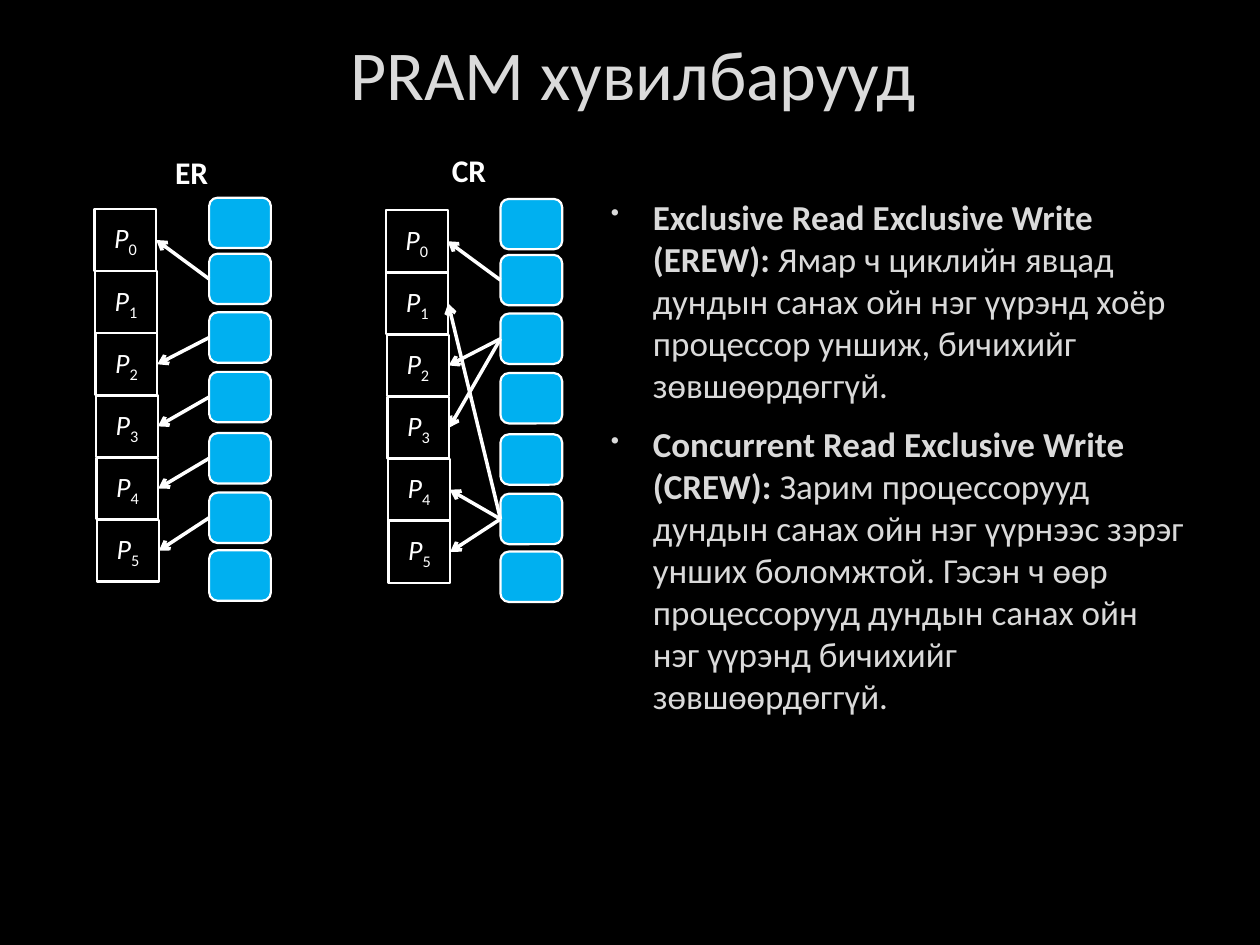
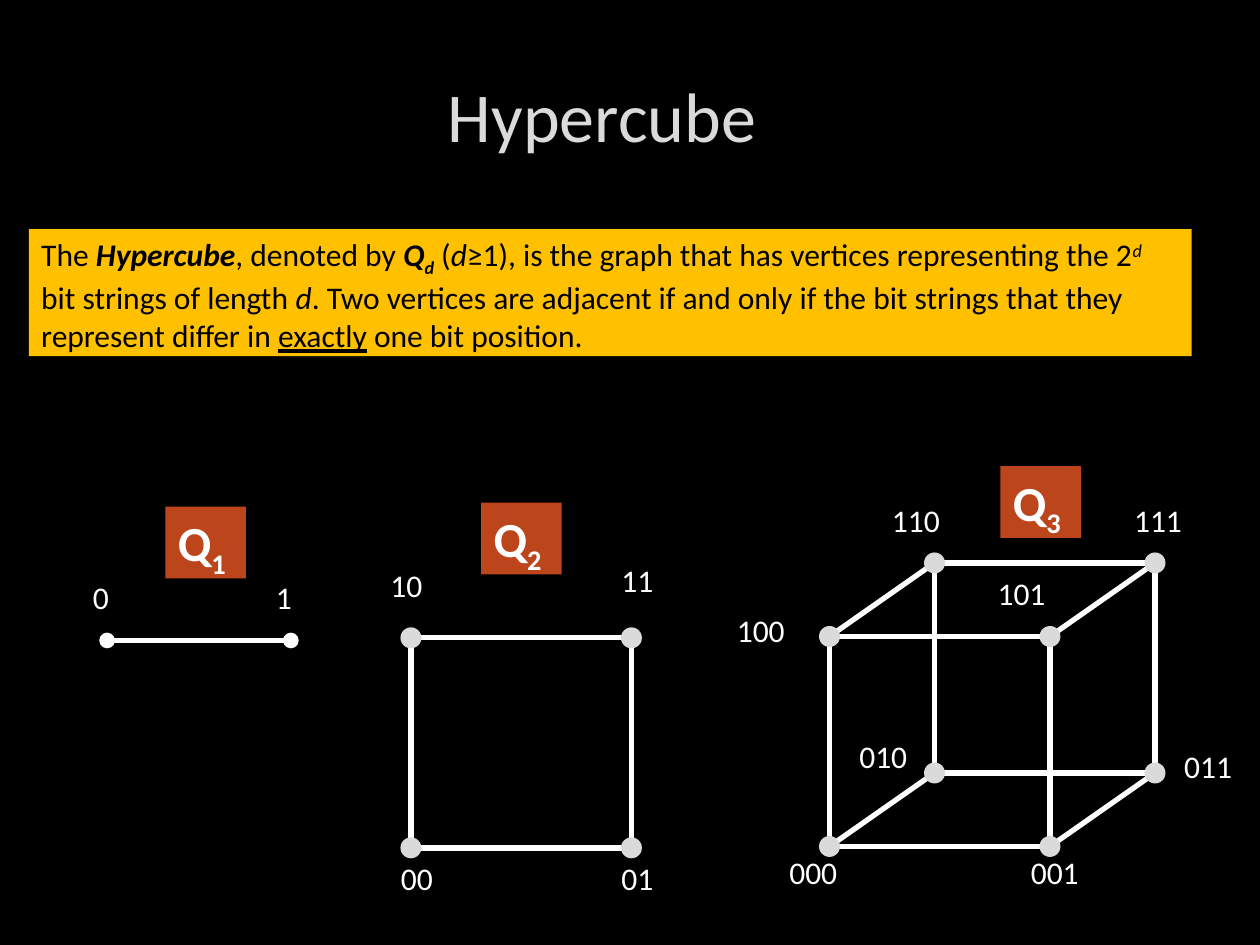
from dataclasses import dataclass
from itertools import combinations, product
from typing import NamedTuple

from lxml.etree import SubElement
from pptx import Presentation
from pptx.dml.color import RGBColor
from pptx.enum.shapes import MSO_CONNECTOR, MSO_SHAPE
from pptx.enum.text import MSO_ANCHOR, PP_ALIGN
from pptx.oxml.ns import qn
from pptx.shapes.autoshape import Shape
from pptx.shapes.connector import Connector
from pptx.slide import Slide
from pptx.text.text import _Paragraph as Paragraph
from pptx.util import Pt


# Theme
@dataclass(frozen=True)
class Theme:
    font: str = "Calibri"
    background: str = "000000"
    white: str = "FFFFFF"
    pale: str = "DADADA"
    black: str = "000000"
    memory: str = "00B0F0"
    callout: str = "FFC000"
    badge: str = "BC451B"
    title_size: float = 40
    badge_size: float = 28
    body_size: float = 20
    label_size: float = 18
    processor_size: float = 16
    box_line: float = 1.25
    arrow_line: float = 2
    edge_line: float = 3


THEME = Theme()
RIGHT_SITE, LEFT_SITE = 3, 1


class Box(NamedTuple):
    left: float
    top: float
    width: float
    height: float


class Span(NamedTuple):
    text: str
    bold: bool = False
    italic: bool = False
    underline: bool = False
    baseline: int = 0


class MemoryModel(NamedTuple):
    name: str
    name_left: float
    name_top: float
    left: float
    top: float
    reads: list[tuple[int, int]]  # processor, memory cell


class Hypercube(NamedTuple):
    badge_left: float
    badge_top: float
    origin: tuple[float, float]
    axes: list[tuple[float, float]]  # step for each bit, last bit first
    label_width: float
    labels: dict[str, tuple[float, float]]


# Shared drawing functions
def color(value: str) -> RGBColor:
    return RGBColor.from_string(value)


def write_spans(paragraph: Paragraph, spans: list[Span], size: float, ink: str,
                align: PP_ALIGN = PP_ALIGN.LEFT) -> None:
    paragraph.alignment = align
    for span in spans:
        run = paragraph.add_run()
        run.text = span.text
        font = run.font
        font.name, font.size = THEME.font, Pt(size)
        font.bold, font.italic, font.underline = span.bold, span.italic, span.underline
        font.color.rgb = color(ink)
        if span.baseline:
            run._r.get_or_add_rPr().set("baseline", str(span.baseline * 1000))


def add_text(slide: Slide, box: Box, spans: list[Span], size: float, ink: str,
             align: PP_ALIGN = PP_ALIGN.LEFT, anchor: MSO_ANCHOR = MSO_ANCHOR.TOP) -> None:
    frame = slide.shapes.add_textbox(*map(Pt, box)).text_frame
    frame.word_wrap = True
    frame.vertical_anchor = anchor
    write_spans(frame.paragraphs[0], spans, size, ink, align)


def add_box(slide: Slide, kind: MSO_SHAPE, box: Box, fill: str | None = None,
            line: str | None = None) -> Shape:
    shape = slide.shapes.add_shape(kind, *map(Pt, box))
    shape.shadow.inherit = False
    if fill:
        shape.fill.solid()
        shape.fill.fore_color.rgb = color(fill)
    else:
        shape.fill.background()
    if line:
        shape.line.color.rgb = color(line)
        shape.line.width = Pt(THEME.box_line)
    else:
        shape.line.fill.background()
    return shape


def add_filled_text(slide: Slide, box: Box, fill: str, spans: list[Span],
                    size: float, ink: str) -> None:
    frame = add_box(slide, MSO_SHAPE.RECTANGLE, box, fill).text_frame
    frame.vertical_anchor = MSO_ANCHOR.TOP
    write_spans(frame.paragraphs[0], spans, size, ink)


def add_line(slide: Slide, start: tuple[float, float], end: tuple[float, float],
             width: float, head: str = "", tail: str = "") -> Connector:
    connector = slide.shapes.add_connector(MSO_CONNECTOR.STRAIGHT, *map(Pt, (*start, *end)))
    connector.line.color.rgb = color(THEME.white)
    connector.line.width = Pt(width)
    line = connector.line._get_or_add_ln()
    for tag, ending in (("a:headEnd", head), ("a:tailEnd", tail)):
        if ending:
            SubElement(line, qn(tag)).set("type", ending)
    SubElement(connector._element.spPr, qn("a:effectLst"))
    return connector


def add_titled_slide(presentation: Presentation, title: str, box: Box) -> Slide:
    slide = presentation.slides.add_slide(presentation.slide_layouts[6])
    slide.background.fill.solid()
    slide.background.fill.fore_color.rgb = color(THEME.background)
    add_text(slide, box, [Span(title)], THEME.title_size, THEME.pale,
             PP_ALIGN.CENTER, MSO_ANCHOR.MIDDLE)
    return slide


# PRAM slide
PROCESSOR_COUNT = 6
PROCESSOR_SIDE, PROCESSOR_STEP, PROCESSOR_DRIFT = 35.3, 35.5, 0.3
CELL_OFFSET_X, CELL_HEIGHT = 65.5, 28.8
CELL_OFFSETS_Y = [-6.5, 25.5, 59, 93, 128, 162, 195]
MEMORY_MODELS = [
    MemoryModel("ER", 67, 84, 54, 119.5, [(0, 1), (2, 2), (3, 3), (4, 4), (5, 5)]),
    MemoryModel("CR", 225.5, 83, 220.5, 120.2,
                [(0, 1), (1, 5), (2, 2), (3, 2), (4, 5), (5, 5)]),
]
VARIANTS = [
    ("Exclusive Read Exclusive Write (EREW): ",
     "Ямар ч циклийн явцад дундын санах ойн нэг үүрэнд хоёр процессор уншиж, "
     "бичихийг зөвшөөрдөггүй."),
    ("Concurrent Read Exclusive Write (CREW): ",
     "Зарим процессорууд дундын санах ойн нэг үүрнээс зэрэг унших боломжтой. "
     "Гэсэн ч өөр процессорууд дундын санах ойн нэг үүрэнд бичихийг зөвшөөрдөггүй."),
]


def add_bullet(paragraph: Paragraph) -> None:
    paragraph.space_before, paragraph.space_after = Pt(4), Pt(6)
    properties = paragraph._p.get_or_add_pPr()
    properties.set("marL", str(Pt(27)))
    properties.set("indent", str(-Pt(24)))
    bullet_color = SubElement(properties, qn("a:buClr"))
    SubElement(bullet_color, qn("a:srgbClr")).set("val", THEME.pale)
    SubElement(properties, qn("a:buSzPct")).set("val", "70000")
    SubElement(properties, qn("a:buChar")).set("char", "•")


def draw_memory_model(slide: Slide, model: MemoryModel) -> None:
    add_text(slide, Box(model.name_left, model.name_top, 85, 29),
             [Span(model.name, bold=True)], THEME.label_size, THEME.white, PP_ALIGN.CENTER)
    processors = []
    for index in range(PROCESSOR_COUNT):
        processor = add_box(
            slide, MSO_SHAPE.RECTANGLE,
            Box(model.left + index * PROCESSOR_DRIFT, model.top + index * PROCESSOR_STEP,
                PROCESSOR_SIDE, PROCESSOR_SIDE), line=THEME.white)
        write_spans(processor.text_frame.paragraphs[0],
                    [Span("P", italic=True), Span(str(index), baseline=-25)],
                    THEME.processor_size, THEME.white, PP_ALIGN.CENTER)
        processors.append(processor)
    cells = [add_box(slide, MSO_SHAPE.ROUNDED_RECTANGLE,
                     Box(model.left + CELL_OFFSET_X, model.top + offset,
                         PROCESSOR_SIDE, CELL_HEIGHT), THEME.memory, THEME.white)
             for offset in CELL_OFFSETS_Y]
    for processor, cell in model.reads:
        arrow = add_line(slide, (0, 0), (0, 0), THEME.arrow_line, head="arrow")
        arrow.begin_connect(processors[processor], RIGHT_SITE)
        arrow.end_connect(cells[cell], LEFT_SITE)


def build_pram_slide(presentation: Presentation) -> None:
    slide = add_titled_slide(presentation, "PRAM хувилбарууд", Box(11.5, 0, 700.5, 83))
    body = slide.shapes.add_textbox(*map(Pt, Box(339, 108, 345.6, 325.5))).text_frame
    body.word_wrap = True
    for index, (name, meaning) in enumerate(VARIANTS):
        paragraph = body.add_paragraph() if index else body.paragraphs[0]
        write_spans(paragraph, [Span(name, bold=True), Span(meaning)],
                    THEME.body_size, THEME.pale)
        add_bullet(paragraph)
    for model in MEMORY_MODELS:
        draw_memory_model(slide, model)


# Hypercube slide
VERTEX_DIAMETER = 12
DEFINITION = [
    Span("The "), Span("Hypercube", bold=True, italic=True), Span(", denoted by "),
    Span("Q", bold=True, italic=True), Span("d", bold=True, italic=True, baseline=-25),
    Span(" ("), Span("d", italic=True),
    Span("≥1), is the graph that has vertices representing the 2"),
    Span("d", italic=True, baseline=30), Span(" bit strings of length "),
    Span("d", italic=True),
    Span(". Two vertices are adjacent if and only if the bit strings that they "
         "represent differ in "),
    Span("exactly", underline=True), Span(" one bit position."),
]
ACROSS, BACK, UP = (126, 0), (60, -42), (0, -120)
HYPERCUBES = [
    Hypercube(94.5, 289.5, (61.2, 366), [(105, 0)], 27,
              {"0": (46, 327), "1": (150.5, 327)}),
    Hypercube(275, 287.3, (234.8, 484.5), [ACROSS, UP], 38,
              {"00": (222, 487.5), "01": (348, 487.5),
               "10": (216, 319.7), "11": (348, 316.8)}),
    Hypercube(571.7, 266.4, (474, 483.7), [ACROSS, BACK, UP], 50.4,
              {"000": (444, 484), "001": (582, 484), "010": (484, 417.6),
               "011": (669.6, 423.4), "100": (414, 345.6), "101": (563, 324.7),
               "110": (502.6, 283), "111": (641, 283)}),
]


def vertex_position(cube: Hypercube, bits: str) -> tuple[float, float]:
    steps = [axis for bit, axis in zip(reversed(bits), cube.axes) if bit == "1"]
    return (cube.origin[0] + sum(step[0] for step in steps),
            cube.origin[1] + sum(step[1] for step in steps))


def draw_hypercube(slide: Slide, cube: Hypercube) -> None:
    dimension = len(cube.axes)
    vertices = {"".join(bits): vertex_position(cube, "".join(bits))
                for bits in product("01", repeat=dimension)}
    # Edges join bit strings that differ in one position
    ending = "oval" if dimension == 1 else ""
    for first, second in combinations(vertices, 2):
        if sum(a != b for a, b in zip(first, second)) == 1:
            add_line(slide, vertices[first], vertices[second], THEME.edge_line,
                     ending, ending)
    if dimension > 1:
        for x, y in vertices.values():
            add_box(slide, MSO_SHAPE.OVAL,
                    Box(x - VERTEX_DIAMETER / 2, y - VERTEX_DIAMETER / 2,
                        VERTEX_DIAMETER, VERTEX_DIAMETER), THEME.pale)
    add_filled_text(slide, Box(cube.badge_left, cube.badge_top, 46, 41), THEME.badge,
                    [Span("Q", bold=True), Span(str(dimension), bold=True, baseline=-25)],
                    THEME.badge_size, THEME.white)
    for bits, (left, top) in cube.labels.items():
        add_text(slide, Box(left, top, cube.label_width, 36), [Span(bits)],
                 THEME.label_size, THEME.white)


def build_hypercube_slide(presentation: Presentation) -> None:
    slide = add_titled_slide(presentation, "Hypercube", Box(38, 34, 612, 62.5))
    add_filled_text(slide, Box(16.5, 131, 664.5, 72.5), THEME.callout, DEFINITION,
                    THEME.label_size, THEME.black)
    for cube in HYPERCUBES:
        draw_hypercube(slide, cube)


def main() -> None:
    presentation = Presentation()
    presentation.slide_width, presentation.slide_height = Pt(720), Pt(540)
    build_pram_slide(presentation)
    build_hypercube_slide(presentation)
    presentation.save("out.pptx")


if __name__ == "__main__":
    main()
